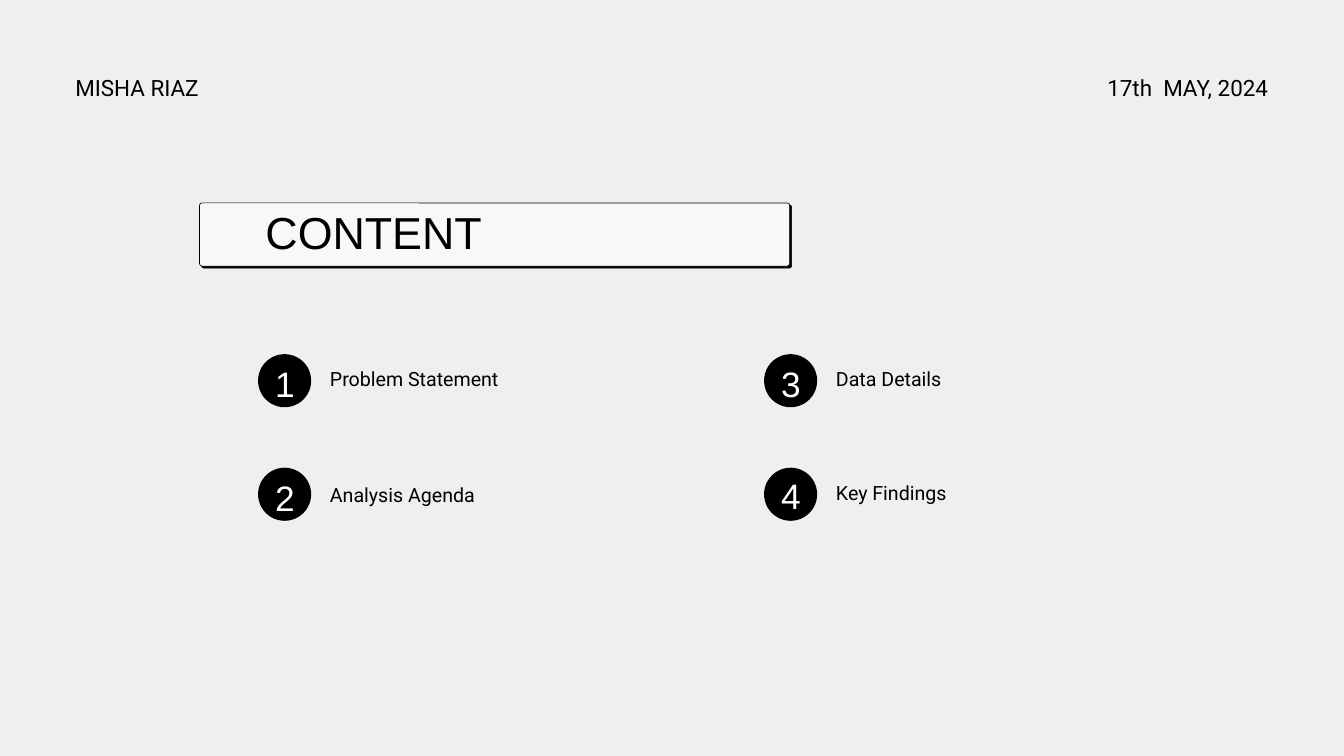
from pptx import Presentation
from pptx.dml.color import RGBColor
from pptx.enum.shapes import MSO_SHAPE
from pptx.enum.text import MSO_ANCHOR, MSO_AUTO_SIZE, PP_ALIGN
from pptx.util import Inches, Pt

BLACK, WHITE, PANEL, BACKGROUND = "000000", "FFFFFF", "F8F8F8", "EFEFEE"

TITLE = "CONTENT"
HEADER = [
    ("MISHA RIAZ", 1.12, PP_ALIGN.LEFT),
    ("17th  MAY, 2024", 12.08, PP_ALIGN.RIGHT),
]
TOPICS = [
    {"name": "Problem Statement", "number_dy": 0.02, "name_dy": 0.19},
    {"name": "Analysis Agenda", "number_dy": 0.02, "name_dy": 0.22},
    {"name": "Data Details", "number_dy": 0.02, "name_dy": 0.19},
    {"name": "Key Findings", "number_dy": -0.01, "name_dy": 0.19},
]
ROWS = 2
GRID_LEFT, GRID_TOP = 3.84, 5.27
COLUMN_STEP, ROW_STEP = 7.53, 1.69
BADGE_SIZE = 0.79

TITLE_STYLE = {"name": "Arial", "size": Pt(48)}
NUMBER_STYLE = {"name": "Arial", "size": Pt(37.8)}
NAME_STYLE = {"name": "Roboto", "size": Pt(21)}
HEADER_STYLE = {"name": "Roboto", "size": Pt(24)}


def paint(color_format, hex_color):
    color_format.rgb = RGBColor.from_string(hex_color)


def write(box, text, style, leading, align=PP_ALIGN.LEFT, color=BLACK):
    frame = box.text_frame
    frame.text = text
    frame_format = {
        "margin_left": 0, "margin_right": 0, "margin_top": 0, "margin_bottom": 0,
        "word_wrap": True, "auto_size": MSO_AUTO_SIZE.NONE,
        "vertical_anchor": MSO_ANCHOR.TOP,
    }
    for attribute, value in frame_format.items():
        setattr(frame, attribute, value)
    paragraph = frame.paragraphs[0]
    paragraph.alignment = align
    paragraph.line_spacing = Pt(leading)
    for attribute, value in style.items():
        setattr(paragraph.runs[0].font, attribute, value)
    paint(paragraph.runs[0].font.color, color)


def add_text(slide, bounds, *content):
    write(slide.shapes.add_textbox(*map(Inches, bounds)), *content)


def add_solid(slide, preset, bounds, color):
    solid = slide.shapes.add_shape(preset, *map(Inches, bounds))
    solid.shadow.inherit = False
    solid.fill.solid()
    paint(solid.fill.fore_color, color)
    solid.line.fill.background()
    return solid


def add_banner(slide):
    for left, top, color in [(3, 3.05, BLACK), (2.97, 3.02, PANEL)]:
        panel = add_solid(slide, MSO_SHAPE.ROUNDED_RECTANGLE,
                          (left, top, 8.78, 0.94), color)
        panel.adjustments[0] = 0.04
        panel.line.width = Pt(0.75)
        paint(panel.line.color, BLACK)
    title = slide.shapes.title
    bounds = {"left": 3.95, "top": 3.06, "width": 7.55, "height": 0.78}
    for attribute, value in bounds.items():
        setattr(title, attribute, Inches(value))
    write(title, TITLE, TITLE_STYLE, 56.6)
    title.element.getparent().append(title.element)


def add_topic(slide, index, topic):
    column, row = divmod(index, ROWS)
    left = GRID_LEFT + column * COLUMN_STEP
    top = GRID_TOP + row * ROW_STEP
    add_solid(slide, MSO_SHAPE.OVAL, (left, top, BADGE_SIZE, BADGE_SIZE), BLACK)
    add_text(slide, (left + 0.15, top + topic["number_dy"], 0.5, 0.69),
             str(index + 1), NUMBER_STYLE, 52.9, PP_ALIGN.CENTER, WHITE)
    add_text(slide, (left + 1.07, top + topic["name_dy"], 4.59, 0.37),
             topic["name"], NAME_STYLE, 25.2)


def main():
    """Build the content slide and save it."""
    deck = Presentation()
    deck.slide_width, deck.slide_height = Inches(20), Inches(11.25)
    slide = deck.slides.add_slide(deck.slide_layouts.get_by_name("Title Only"))
    slide.background.fill.solid()
    paint(slide.background.fill.fore_color, BACKGROUND)
    add_banner(slide)
    for index, topic in enumerate(TOPICS):
        add_topic(slide, index, topic)
    for text, left, align in HEADER:
        add_text(slide, (left, 1.04, 6.79, 0.44), text, HEADER_STYLE, 33.6, align)
    deck.save("out.pptx")


if __name__ == "__main__":
    main()
